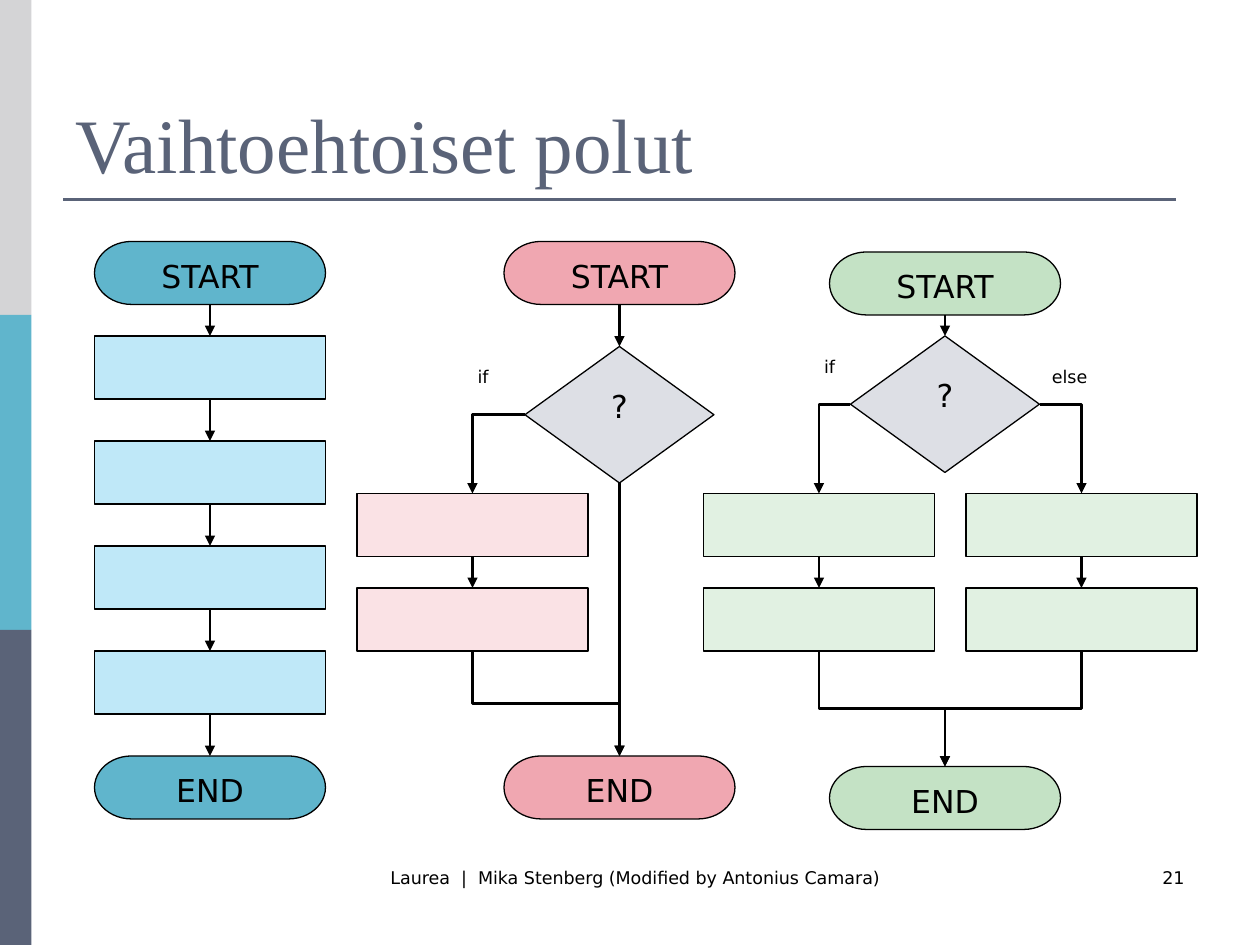
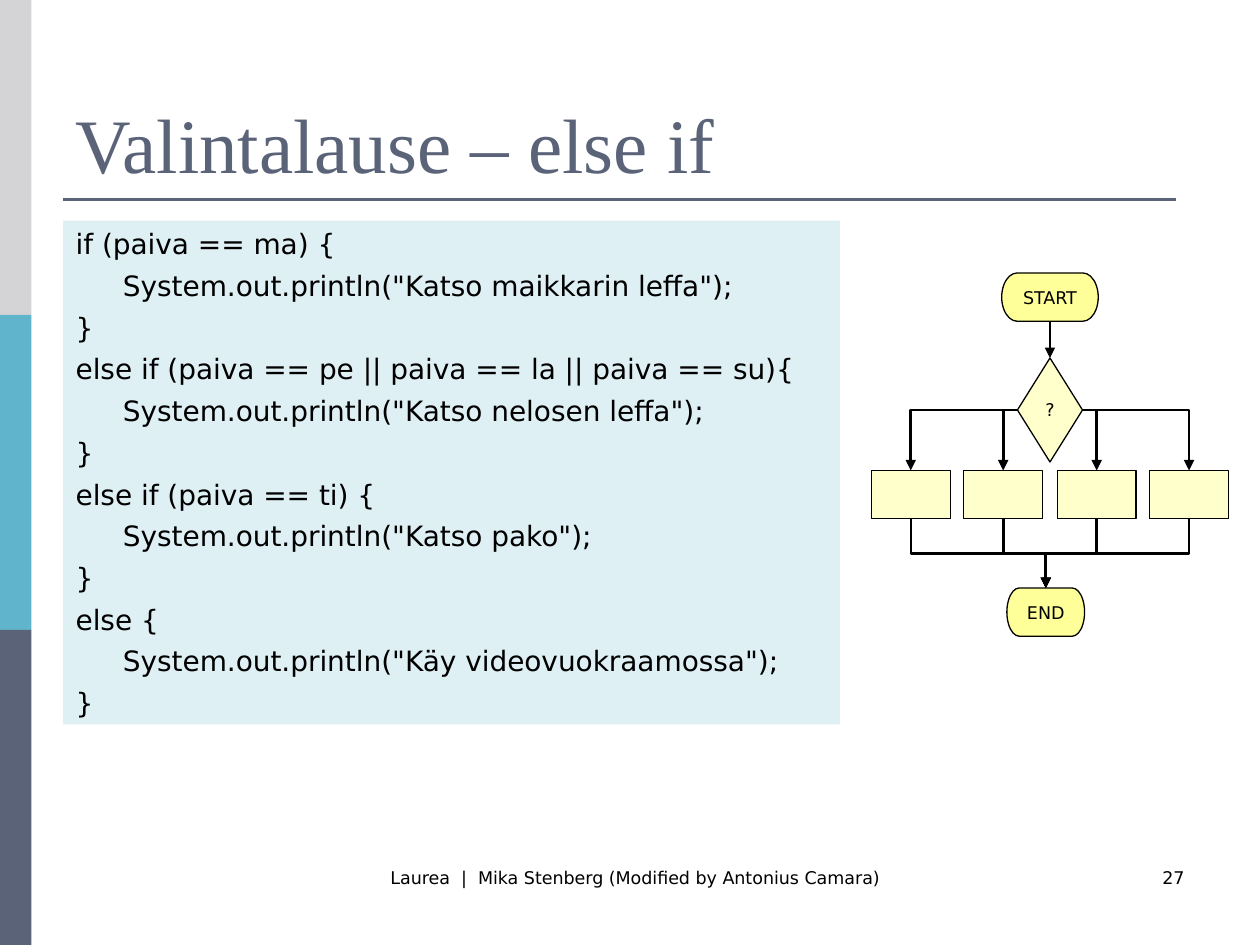
from pptx import Presentation
from pptx.dml.color import RGBColor
from pptx.enum.shapes import MSO_CONNECTOR, MSO_SHAPE
from pptx.enum.text import MSO_ANCHOR, MSO_AUTO_SIZE, PP_ALIGN
from pptx.oxml.ns import qn
from pptx.util import Pt
from lxml import etree

PX = 7620  # EMU in one px, 120 px to the inch
TITLE_ONLY, TITLE_AND_BODY = 5, 1
RECTANGLE = MSO_SHAPE.RECTANGLE
TERMINATOR = MSO_SHAPE.FLOWCHART_TERMINATOR
PROCESS = MSO_SHAPE.FLOWCHART_PROCESS
DECISION = MSO_SHAPE.FLOWCHART_DECISION
STRAIGHT, ELBOW = MSO_CONNECTOR.STRAIGHT, MSO_CONNECTOR.ELBOW
ANCHOR_TOP, ANCHOR_MIDDLE, ANCHOR_BOTTOM = MSO_ANCHOR.TOP, MSO_ANCHOR.MIDDLE, MSO_ANCHOR.BOTTOM
LEFT_ALIGNED, CENTRED, RIGHT_ALIGNED = PP_ALIGN.LEFT, PP_ALIGN.CENTER, PP_ALIGN.RIGHT
FIT_NONE = MSO_AUTO_SIZE.NONE
TOP, LEFT, BOTTOM, RIGHT = range(4)  # connection sites

SANS, SERIF = "DejaVu Sans", "Times New Roman"
BLACK, SLATE, TEAL, SILVER = "000000", "5A6378", "60B5CC", "D4D4D6"
FOOTER = "Laurea  |  Mika Stenberg (Modified by Antonius Camara)"

CODE = """if (paiva == ma) {
\tSystem.out.println("Katso maikkarin leffa");
}
else if (paiva == pe || paiva == la || paiva == su){
\tSystem.out.println("Katso nelosen leffa");
}
else if (paiva == ti) {
\tSystem.out.println("Katso pako");
}
else {
\tSystem.out.println("Käy videovuokraamossa");
}"""


def color(hex_string):
    return RGBColor.from_string(hex_string)


def set_values(target, values):
    for name, value in values.items():
        setattr(target, name, value)


def emu(*lengths):
    return [length * PX for length in lengths]


class Deck:
    """Holds the style and the current slide."""

    def __init__(self):
        self.presentation = Presentation()
        set_values(self.presentation, {"slide_width": 1200 * PX, "slide_height": 900 * PX})
        self.slide = None

    def add_slide(self, layout, title, number):
        layouts = self.presentation.slide_layouts
        self.slide = self.presentation.slides.add_slide(layouts[layout])
        # Side bands and the rule under the title
        for row, fill in enumerate((SILVER, TEAL, SLATE)):
            self.shape(RECTANGLE, (0, row * 300, 30, 300), fill, border=None)
        self.line((60, 190), (1120, 190), SLATE)
        # Title and footer
        shape = self.slide.shapes.title
        self.place(shape, 60, 36, 1080, 150)
        self.set_text(shape, title, 44, LEFT_ALIGNED, ANCHOR_BOTTOM, SERIF, SLATE)
        self.label(FOOTER, (360, 820, 520, 60))
        self.label(number, (860, 820, 280, 60), RIGHT_ALIGNED)

    def place(self, shape, *box):
        set_values(shape, dict(zip(("left", "top", "width", "height"), emu(*box))))

    def set_text(self, shape, text, size, alignment, anchor, font=SANS, ink=BLACK, wrap=True):
        frame = shape.text_frame
        set_values(frame, {"text": text, "word_wrap": wrap, "auto_size": FIT_NONE,
                           "vertical_anchor": anchor})
        for paragraph in frame.paragraphs:
            paragraph.alignment = alignment
            set_values(paragraph.font, {"size": Pt(size), "name": font})
            paragraph.font.color.rgb = color(ink)

    def label(self, text, box, alignment=LEFT_ALIGNED):
        shape = self.slide.shapes.add_textbox(*emu(*box))
        self.set_text(shape, text, 10, alignment, ANCHOR_TOP)

    def shape(self, kind, box, fill, text="", size=18, anchor=ANCHOR_TOP, border=BLACK):
        shape = self.slide.shapes.add_shape(kind, *emu(*box))
        shape.shadow.inherit = False
        shape.fill.solid()
        shape.fill.fore_color.rgb = color(fill)
        if border:
            shape.line.color.rgb = color(border)
            shape.line.width = Pt(0.75)
        else:
            shape.line.fill.background()
        if text:
            self.set_text(shape, text, size, CENTRED, anchor, wrap=False)
        return shape

    def line(self, start, end, ink=BLACK, kind=STRAIGHT):
        connector = self.slide.shapes.add_connector(kind, *emu(*start, *end))
        connector.line.color.rgb = color(ink)
        connector.line.width = Pt(1.5)
        etree.SubElement(connector.element.spPr, qn("a:effectLst"))
        return connector

    def arrow(self, start, end, sites=(BOTTOM, TOP), kind=STRAIGHT):
        connector = self.line((0, 0), (0, 0), kind=kind)
        connector.begin_connect(start, sites[0])
        connector.end_connect(end, sites[1])
        outline = connector.element.spPr.find(qn("a:ln"))
        etree.SubElement(outline, qn("a:tailEnd"), type="triangle")
        return connector

    def branch(self, decision, step, side):
        """Arrow that leaves a decision sideways and turns down once."""
        connector = self.arrow(decision, step, (side, TOP), ELBOW)
        connector.element.spPr.find(qn("a:prstGeom")).set("prst", "bentConnector2")

    def merge(self, step, end):
        """Arrow that goes down, across and down again."""
        connector = self.arrow(step, end, kind=ELBOW)
        x, y = connector.begin_x, connector.begin_y
        across, down = connector.end_x - x, connector.end_y - y
        frame = connector.element.spPr.find(qn("a:xfrm"))
        frame.set("rot", "16200000" if across > 0 else "5400000")
        frame.set("flipH", "1" if across > 0 else "0")
        set_values(connector, {"left": x + (across - down) // 2,
                               "top": y + (down - abs(across)) // 2,
                               "width": down, "height": abs(across)})

    def chain(self, shapes):
        for upper, lower in zip(shapes, shapes[1:]):
            self.arrow(upper, lower)

    def terminators(self, left, top, bottom, fill):
        return [self.shape(TERMINATOR, (left, y, 220, 60), fill, text)
                for text, y in (("START", top), ("END", bottom))]

    def steps(self, left, tops, fill):
        return [self.shape(PROCESS, (left, top, 220, 60), fill) for top in tops]

    def code(self, text, box, fill):
        shape = self.slide.placeholders[1]
        self.place(shape, *box)
        shape.fill.solid()
        shape.fill.fore_color.rgb = color(fill)
        shape.text_frame.text = text
        # Hanging indent without bullets, added ahead of the font
        for index, paragraph in enumerate(shape.text_frame.paragraphs):
            paragraph.space_before = Pt(4.65 if index else 0)
            properties = paragraph._p.get_or_add_pPr()
            properties.set("marL", str(45 * PX))
            properties.set("indent", str(-45 * PX))
            etree.SubElement(properties, qn("a:buNone"))
            set_values(paragraph.font, {"size": Pt(16), "name": SANS})
            paragraph.font.color.rgb = color(BLACK)
        set_values(shape.text_frame, {"word_wrap": True, "auto_size": FIT_NONE,
                                      "vertical_anchor": ANCHOR_TOP})


def build_paths(deck):
    deck.add_slide(TITLE_ONLY, "Vaihtoehtoiset polut", "21")
    pair_tops = (470, 560)

    # Plain sequence
    start, end = deck.terminators(90, 230, 720, TEAL)
    steps = deck.steps(90, range(320, 621, 100), "BFE8F8")
    deck.chain([start, *steps, end])

    # Choice with if and else
    start, end = deck.terminators(790, 240, 730, "C4E2C5")
    decision = deck.shape(DECISION, (810, 320, 180, 130), "DDDFE5", "?")
    deck.arrow(start, decision)
    for left, side in ((670, LEFT), (920, RIGHT)):
        steps = deck.steps(left, pair_tops, "E1F1E2")
        deck.chain(steps)
        deck.branch(decision, steps[0], side)
        deck.merge(steps[-1], end)

    # Choice with if only
    start, end = deck.terminators(480, 230, 720, "F0A7B1")
    steps = deck.steps(340, pair_tops, "FAE2E5")
    decision = deck.shape(DECISION, (500, 330, 180, 130), "DDDFE5", "?")
    deck.chain([start, decision, end])
    deck.chain(steps)
    deck.branch(decision, steps[0], LEFT)
    deck.merge(steps[-1], end)

    # Branch labels
    deck.label("if", (443, 343, 46, 60))
    deck.label("if", (773, 333, 46, 60))
    deck.label("else", (990, 343, 80, 60))


def build_else_if(deck):
    deck.add_slide(TITLE_AND_BODY, "Valintalause – else if", "27")
    deck.code(CODE, (60, 210, 740, 480), "DFF0F5")

    # Choice among four steps
    small = {"size": 10, "anchor": ANCHOR_MIDDLE}
    start = deck.shape(TERMINATOR, (954, 260, 92, 46), "FFFF99", "START", **small)
    end = deck.shape(TERMINATOR, (959, 560, 74, 46), "FFFF99", "END", **small)
    decision = deck.shape(DECISION, (969, 341, 62, 99), "FFFFCC", "?", **small)
    deck.arrow(start, decision)
    for index in range(4):
        step = deck.shape(PROCESS, (830 + index * 177 // 2, 448, 75, 46), "FFFFCC")
        deck.branch(decision, step, LEFT if index < 2 else RIGHT)
        deck.merge(step, end)


def main():
    deck = Deck()
    build_paths(deck)
    build_else_if(deck)
    deck.presentation.save("out.pptx")


if __name__ == "__main__":
    main()
